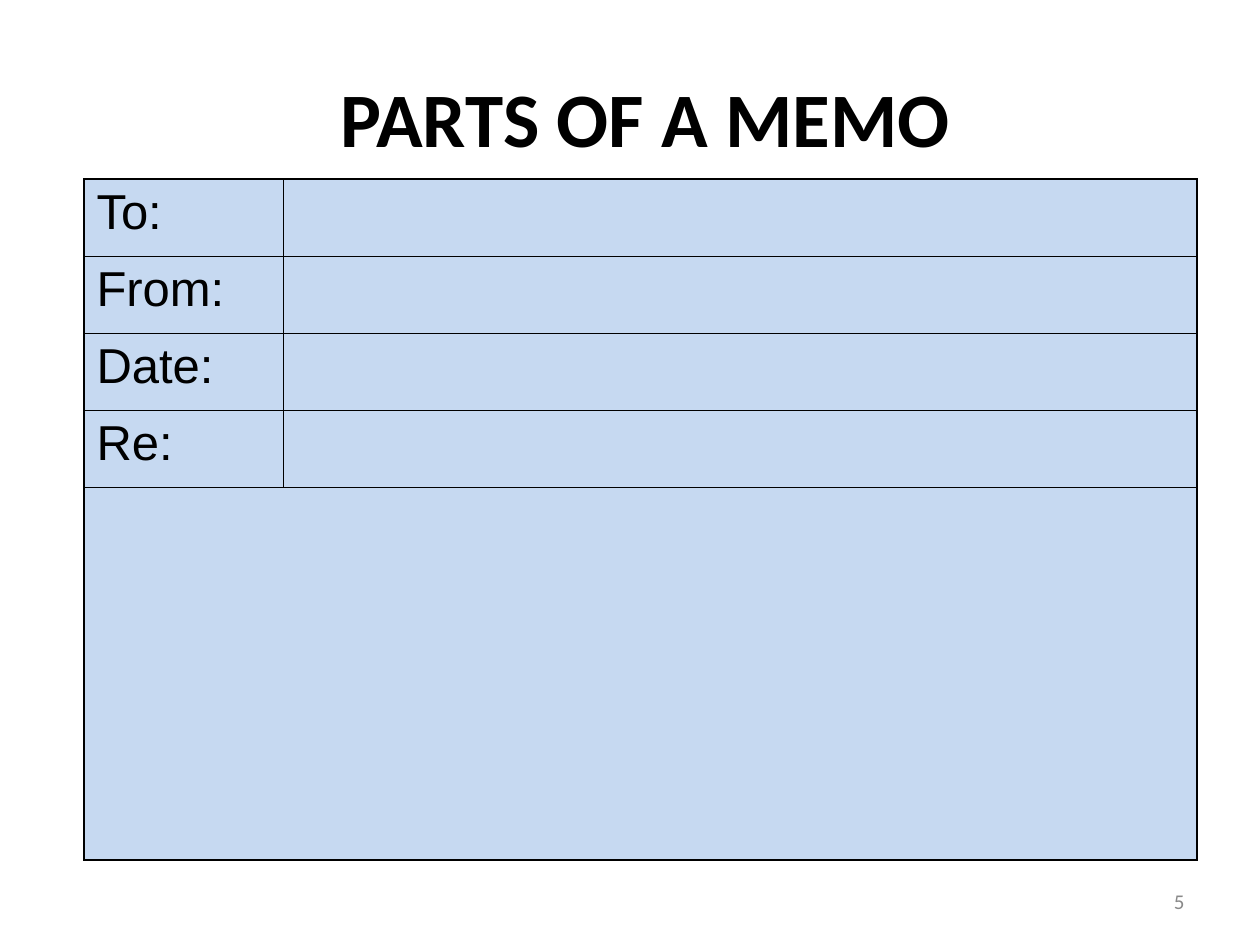
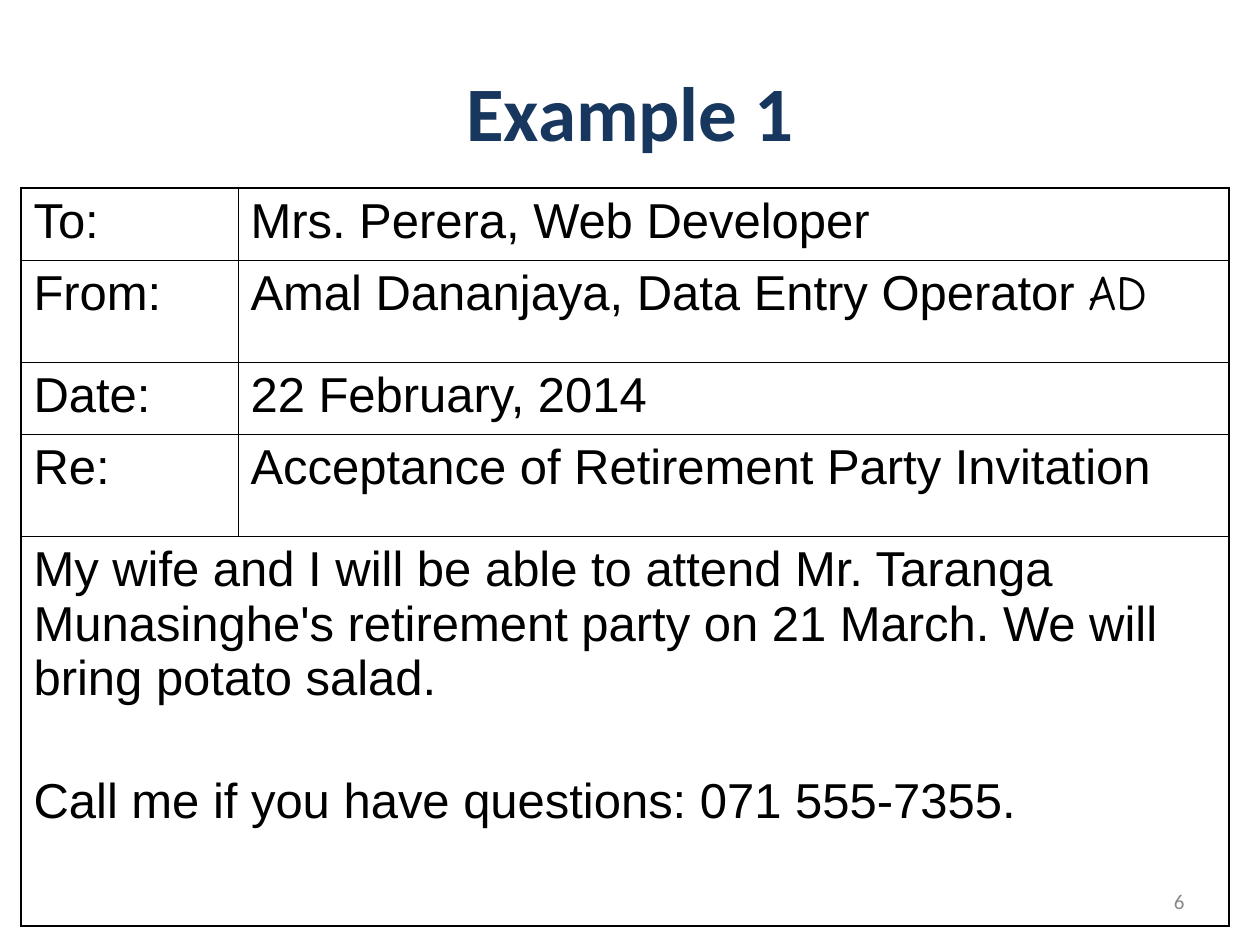
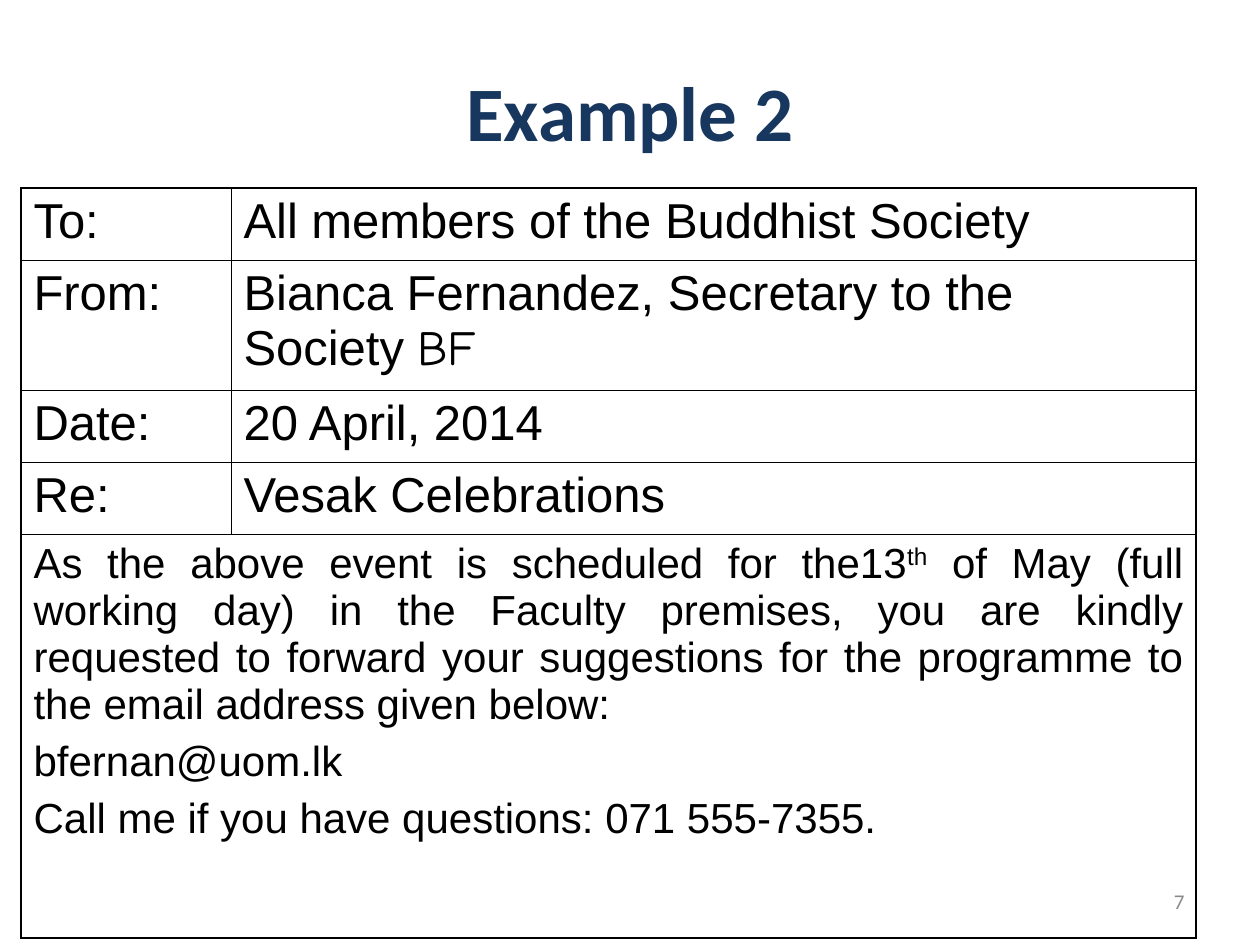
from lxml.etree import SubElement
from pptx import Presentation
from pptx.dml.color import RGBColor
from pptx.enum.text import MSO_ANCHOR, PP_ALIGN
from pptx.oxml.ns import qn
from pptx.util import Inches, Pt

PX = Inches(1) / 126
COLORS = {"black": "000000", "navy": "17375E", "gray": "898989", "pale": "C6D9F1"}
TITLE_FONT, MEMO_FONT, INITIALS_FONT = "Calibri", "Arial", "Comic Neue"
OUTER_LINE, INNER_LINE = 1.08, 0.45
FIELDS = ["To:", "From:", "Date:", "Re:"]
NUMBER_BOX = (903, 876, 294, 50)
EXAMPLE_TITLE_BOX = (32, 32, 1197, 158)
INITIALS = {"font": INITIALS_FONT}
CALL = "Call me if you have questions: 071 555-7355."

# A text is a string or a list of (words, format) parts.
MEMOS = [
    {
        "number": "5", "title": "PARTS OF A MEMO", "title_color": "black",
        "title_box": (94, 38, 1103, 158),
        "corner": (84, 179), "columns": (199, 914), "rows": (77, 77, 77, 77, 373),
        "fill": "pale", "values": ["", "", "", ""], "body": [],
    },
    {
        "number": "6", "title": "Example 1", "title_color": "navy",
        "title_box": EXAMPLE_TITLE_BOX,
        "corner": (21, 188), "columns": (217, 991), "rows": (72, 102, 72, 102, 390),
        "fill": None,
        "values": [
            "Mrs. Perera, Web Developer",
            [("Amal Dananjaya, Data Entry Operator ", {}), ("AD", INITIALS)],
            "22 February, 2014",
            "Acceptance of Retirement Party Invitation",
        ],
        "body": [
            ("My wife and I will be able to attend Mr. Taranga Munasinghe's retirement "
             "party on 21 March. We will bring potato salad.", {}),
            (CALL, {"before": 39}),
        ],
    },
    {
        "number": "7", "title": "Example 2", "title_color": "navy",
        "title_box": EXAMPLE_TITLE_BOX,
        "corner": (21, 188), "columns": (210, 965), "rows": (72, 130, 72, 72, 404),
        "fill": None,
        "values": [
            "All members of the Buddhist Society",
            [("Bianca Fernandez, Secretary to the Society ", {}), ("BF", INITIALS)],
            "20 April, 2014",
            "Vesak Celebrations",
        ],
        "body": [
            ([("As the above event is scheduled for the13", {}),
              ("th", {"raised": True}),
              (" of May (full working day) in the Faculty premises, you are kindly "
               "requested to forward your suggestions for the programme to the email "
               "address given below:", {})],
             {"size": 24, "align": PP_ALIGN.JUSTIFY}),
            ("bfernan@uom.lk", {"size": 24, "before": 6}),
            (CALL, {"size": 24, "before": 6, "align": PP_ALIGN.JUSTIFY}),
        ],
    },
]


def px(*lengths):
    return [round(length * PX) for length in lengths]


def write(para, text, size=28, font=MEMO_FONT, color="black", bold=False,
          align=PP_ALIGN.LEFT, before=0):
    para.alignment = align
    para.space_before = Pt(before)
    parts = [(text, {})] if isinstance(text, str) else text
    for words, style in parts:
        if not words:
            continue
        span = para.add_run()
        span.text = words
        span.font.size = Pt(size)
        span.font.name = style.get("font", font)
        span.font.bold = bold
        span.font.color.rgb = RGBColor.from_string(COLORS[color])
        if style.get("raised"):
            span._r.get_or_add_rPr().set("baseline", "30000")


def add_text(page, bounds, text, **style):
    frame = page.shapes.add_textbox(*px(*bounds)).text_frame
    frame.word_wrap = True
    frame.vertical_anchor = MSO_ANCHOR.MIDDLE
    write(frame.paragraphs[0], text, font=TITLE_FONT, **style)


def set_borders(cell, outer_sides):
    properties = cell._tc.get_or_add_tcPr()
    for side in "LRTB":
        width = OUTER_LINE if side in outer_sides else INNER_LINE
        line = SubElement(properties, qn(f"a:ln{side}"), w=str(Pt(width)))
        fill = SubElement(line, qn("a:solidFill"))
        SubElement(fill, qn("a:srgbClr"), val=COLORS["black"])


def add_memo_table(page, memo):
    columns, rows = memo["columns"], memo["rows"]
    table = page.shapes.add_table(
        len(rows), len(columns), *px(*memo["corner"], sum(columns), sum(rows))).table
    table.first_row = table.horz_banding = False
    for column, width in zip(table.columns, px(*columns)):
        column.width = width
    for row, height in zip(table.rows, px(*rows)):
        row.height = height

    last = len(rows) - 1
    body = table.cell(last, 0)
    body.merge(table.cell(last, 1))
    for row in range(len(rows)):
        for column in range(len(columns)):
            cell = table.cell(row, column)
            outer_sides = "L" if column == 0 else "R"
            if row == 0:
                outer_sides += "T"
            if row == last:
                outer_sides = "LRB"
            set_borders(cell, outer_sides)
            if memo["fill"]:
                cell.fill.solid()
                cell.fill.fore_color.rgb = RGBColor.from_string(COLORS[memo["fill"]])
            else:
                cell.fill.background()

    for row, texts in enumerate(zip(FIELDS, memo["values"])):
        for column, text in enumerate(texts):
            write(table.cell(row, column).text_frame.paragraphs[0], text)
    frame = body.text_frame
    for index, (text, style) in enumerate(memo["body"]):
        para = frame.add_paragraph() if index else frame.paragraphs[0]
        write(para, text, **style)


def main():
    deck = Presentation()
    deck.slide_width, deck.slide_height = px(1260, 945)
    for memo in MEMOS:
        page = deck.slides.add_slide(deck.slide_layouts[6])
        add_text(page, NUMBER_BOX, memo["number"], size=12, color="gray",
                 align=PP_ALIGN.RIGHT)
        add_text(page, memo["title_box"], memo["title"], size=44, bold=True,
                 color=memo["title_color"], align=PP_ALIGN.CENTER)
        add_memo_table(page, memo)
    deck.save("out.pptx")


if __name__ == "__main__":
    main()
